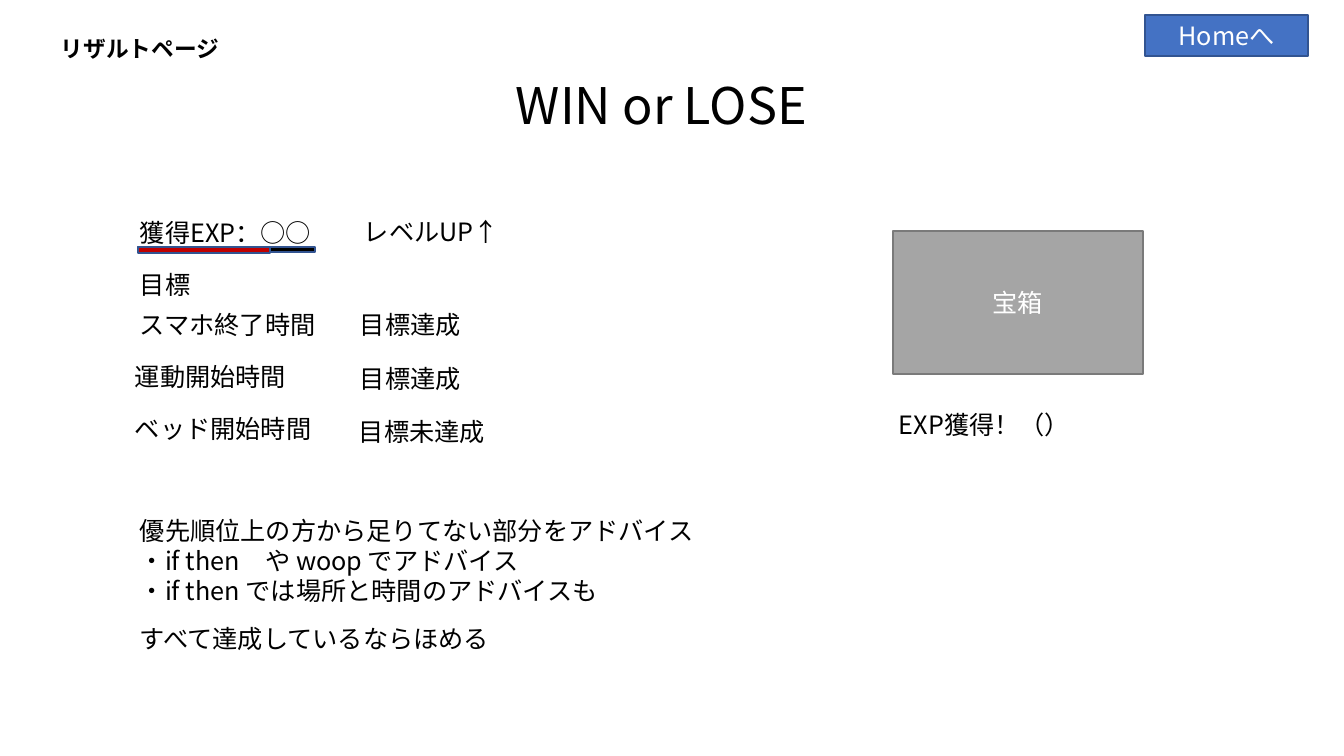
from dataclasses import dataclass
from lxml import etree
from pptx import Presentation
from pptx.dml.color import RGBColor
from pptx.enum.shapes import MSO_SHAPE
from pptx.enum.text import MSO_ANCHOR, PP_ALIGN
from pptx.oxml.ns import qn
from pptx.util import Pt

RECT = MSO_SHAPE.RECTANGLE
TOP, MIDDLE = MSO_ANCHOR.TOP, MSO_ANCHOR.MIDDLE
LEFT, CENTER = PP_ALIGN.LEFT, PP_ALIGN.CENTER
FONT = "Noto Sans CJK JP"
SCALE = 914400 / 100.8
COLORS = {
    "black": "000000", "white": "FFFFFF", "blue": "4472C4", "navy": "325491",
    "red": "C00000", "gray": "A5A5A5", "edge": "7A7A7A",
}


@dataclass(frozen=True)
class Label:
    """Text placed freely on the slide."""
    text: str
    left: int
    top: int
    width: int
    height: int = 40
    size: float = 18
    bold: bool = False
    anchor: int = TOP
    space: float = 1.0


@dataclass(frozen=True)
class Box:
    """A filled rectangle with optional centred text."""
    left: int
    top: int
    width: int
    height: int
    fill: str
    line: str
    text: str = ""


def emu(*sizes: int) -> list[int]:
    """Turn pixels into EMU."""
    return [round(size * SCALE) for size in sizes]


def rgb(name: str) -> RGBColor:
    """Look up a named colour."""
    return RGBColor.from_string(COLORS[name])


def assign(target, values: dict) -> None:
    """Set every format value on the target."""
    for name, value in values.items():
        setattr(target, name, value)


def write(frame, text: str, color: str, size: float = 18, bold: bool = False,
          anchor: int = MIDDLE, align: int = CENTER, space: float = 1.0) -> None:
    """Fill a text frame, one paragraph a line."""
    assign(frame, {"word_wrap": True, "vertical_anchor": anchor})
    frame.text = text
    for para in frame.paragraphs:
        assign(para, {"alignment": align, "line_spacing": space})
        for run in para.runs:
            assign(run.font, {"size": Pt(size), "bold": bold, "name": FONT})
            run.font.color.rgb = rgb(color)
            east = etree.SubElement(run.font._element, qn("a:ea"))
            east.set("typeface", FONT)


def draw_label(slide, label: Label) -> None:
    """Draw a text box."""
    shape = slide.shapes.add_textbox(
        *emu(label.left, label.top, label.width, label.height))
    write(shape.text_frame, label.text, "black", label.size, label.bold,
          label.anchor, LEFT, label.space)


def draw_box(slide, box: Box) -> None:
    """Draw a rectangle."""
    shape = slide.shapes.add_shape(
        RECT, *emu(box.left, box.top, box.width, box.height))
    shape.shadow.inherit = False
    shape.fill.solid()
    shape.fill.fore_color.rgb = rgb(box.fill)
    shape.line.color.rgb = rgb(box.line)
    shape.line.width = Pt(1)
    if box.text:
        write(shape.text_frame, box.text, "white")


ADVICE = "\n".join([
    "優先順位上の方から足りてない部分をアドバイス",
    "・if then\u3000や woop でアドバイス",
    "・if then では場所と時間のアドバイスも",
])
LABELS = [
    Label("リザルトページ", 51, 26, 192, 49, 16.2, True, MIDDLE, 0.9),
    Label("WIN or LOSE", 506, 69, 332, 72, 36),
    Label("獲得EXP：○○", 130, 212, 225),
    Label("レベルUP↑", 354, 211, 225),
    Label("目標", 130, 264, 169),
    Label("スマホ終了時間", 130, 304, 204),
    Label("運動開始時間", 125, 356, 178),
    Label("ベッド開始時間", 125, 408, 204),
    Label("目標達成", 350, 304, 204),
    Label("目標達成", 350, 358, 204),
    Label("目標未達成", 349, 411, 204),
    Label("EXP獲得！（）", 889, 404, 256),
    Label(ADVICE, 130, 510, 926, 102),
    Label("すべて達成しているならほめる", 130, 618, 926, 72),
]
BOXES = [
    Box(1145, 15, 163, 41, "blue", "navy", "Homeへ"),
    Box(138, 247, 177, 5, "black", "navy"),
    Box(138, 247, 132, 6, "red", "navy"),
    Box(893, 231, 250, 143, "gray", "edge", "宝箱"),
]


def main() -> None:
    """Build the result page."""
    deck = Presentation()
    deck.slide_width, deck.slide_height = emu(1344, 756)
    slide = deck.slides.add_slide(deck.slide_layouts[6])
    for label in LABELS:
        draw_label(slide, label)
    for box in BOXES:
        draw_box(slide, box)
    deck.save("out.pptx")


main()
